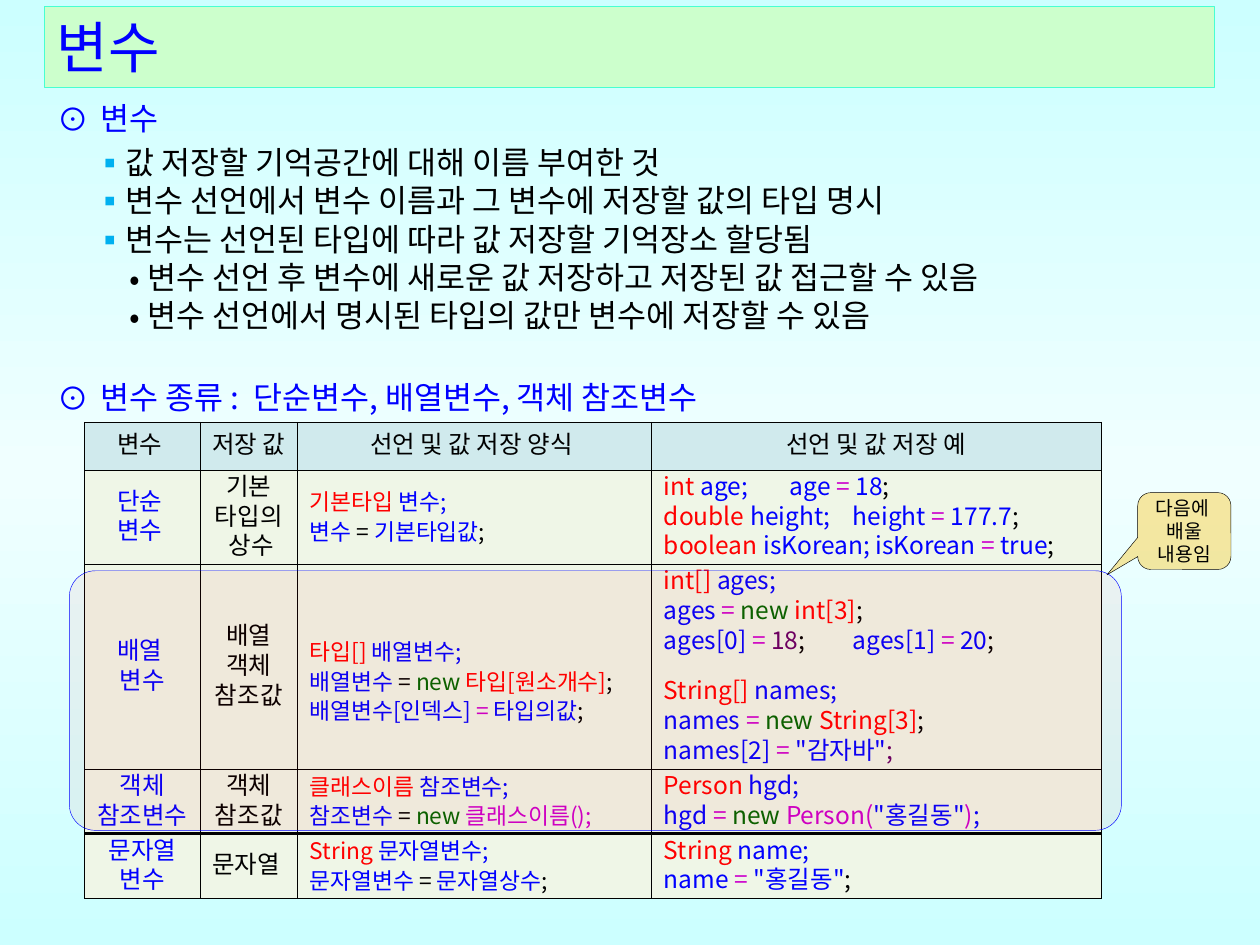
"""Build the slide on variables and their kinds."""
import copy
from dataclasses import dataclass
from functools import partial
from typing import NamedTuple, Optional

import lxml.etree
import pptx
import pptx.dml.color
import pptx.enum.shapes
import pptx.enum.text
import pptx.oxml.ns
import pptx.util

RGB = pptx.dml.color.RGBColor
Pt = pptx.util.Pt
qn = pptx.oxml.ns.qn
SHAPE = pptx.enum.shapes.MSO_SHAPE
ALIGN = pptx.enum.text.PP_ALIGN
MIDDLE = pptx.enum.text.MSO_ANCHOR.MIDDLE

FONT = "Noto Sans CJK KR"
WIDTH, HEIGHT = pptx.util.Inches(10), pptx.util.Inches(7.5)
BLACK = RGB(0x00, 0x00, 0x00)
BLUE = RGB(0x00, 0x00, 0xFF)
RED = RGB(0xFF, 0x00, 0x00)
MAGENTA = RGB(0xCC, 0x00, 0xCC)
GREEN = RGB(0x00, 0x66, 0x00)
PURPLE = RGB(0x66, 0x00, 0x66)
SKY = RGB(0x00, 0xB0, 0xF0)
AMBER = RGB(0xFF, 0xC0, 0x00)
AQUA = RGB(0xCC, 0xFF, 0xFF)
PALE_AQUA = RGB(0xF0, 0xFF, 0xFF)
MINT = RGB(0xCC, 0xFF, 0xCC)
TURQUOISE = RGB(0x47, 0xFF, 0xD1)
HEADER_FILL = RGB(0xD0, 0xEA, 0xED)
BODY_FILL = RGB(0xEF, 0xF6, 0xE7)


class Span(NamedTuple):
    """A stretch of text in one colour."""
    text: str
    color: RGB


class Box(NamedTuple):
    """A place on the grid of 100 columns by 100 rows."""
    column: float
    row: float
    columns: float
    rows: float


@dataclass
class Line:
    """A paragraph, with lengths in grid columns and spacing in points."""
    spans: list[Span]
    before: float = 0
    pitch: float = 17
    indent: float = 0
    hang: float = 0
    bullet: Optional[Span] = None
    tab: float = 0
    align: ALIGN = ALIGN.LEFT


black, blue, red, magenta, green, purple = (
    partial(Span, color=color) for color in (BLACK, BLUE, RED, MAGENTA, GREEN, PURPLE))
end, equals, assign = black(";"), magenta("= "), black("= ")
heading = partial(Line, pitch=25, indent=3.4, hang=3.4, bullet=blue("⊙"))
point = partial(Line, pitch=21.9, indent=5.3, hang=2.4, bullet=Span("▪", SKY))
detail = partial(Line, pitch=21.9, indent=7.15, hang=1.45, bullet=black("•"))
code = partial(Line, indent=0.3)

BODY = [
    heading([blue("변수")]),
    point([black("값 저장할 기억공간에 대해 이름 부여한 것")], pitch=25),
    point([black("변수 선언에서 변수 이름과 그 변수에 저장할 값의 타입 명시")]),
    point([black("변수는 선언된 타입에 따라 값 저장할 기억장소 할당됨")]),
    detail([black("변수 선언 후 변수에 새로운 값 저장하고 저장된 값 접근할 수 있음")]),
    detail([black("변수 선언에서 명시된 타입의 값만 변수에 저장할 수 있음")]),
    heading([blue("변수 종류 :  단순변수, 배열변수, 객체 참조변수")], before=21.9),
]


def centred(paint: partial, *texts: str) -> list[Line]:
    """Make one centred line from each text."""
    return [Line([paint(text)], align=ALIGN.CENTER) for text in texts]


KINDS = [
    [centred(black, text) for text in
     ("변수 ", "저장 값", "선언 및 값 저장 양식 ", "선언 및 값 저장 예")],
    [centred(blue, "단순 ", "변수 "), centred(black, "기본 타입의", " 상수"),
     [code([red("기본타입 "), blue("변수;")]),
      code([blue("변수 "), assign, blue("기본타입값"), end])],
     [code([red("int "), blue("age;\tage "), equals, blue("18"), end], tab=14.7),
      code([red("double "), blue("height;\theight "), equals, blue("177.7"), end], tab=16.5),
      code([red("boolean "), blue("isKorean; isKorean "), equals, blue("true"), end])]],
    [centred(blue, "배열 ", "변수"), centred(black, "배열 객체", "참조값"),
     [code([red("타입[] "), blue("배열변수;")]),
      code([blue("배열변수 "), assign, green("new "), red("타입[원소개수]"), end]),
      code([blue("배열변수[인덱스] "), equals, blue("타입의값"), end])],
     [code([red("int[] "), blue("ages; ")]),
      code([blue("ages "), equals, green("new "), red("int[3]"), end]),
      code([blue("ages[0] "), equals, purple("18"), black(";\t"), blue("ages[1] "),
            equals, blue("20"), end], tab=20.2),
      code([red("String[] "), blue("names;")], before=12),
      code([blue("names "), equals, green("new "), red("String[3]"), end]),
      code([blue("names[2] "), equals, blue('"감자바"'), purple(";")])]],
    [centred(blue, "객체 참조변수"), centred(black, "객체 참조값"),
     [code([red("클래스이름 "), blue("참조변수;")]),
      code([blue("참조변수 "), assign, green("new "), magenta("클래스이름();")])],
     [code([red("Person "), blue("hgd;")]),
      code([blue("hgd "), equals, green("new "), magenta("Person("), blue('"홍길동"'),
            magenta(")"), blue(";")])]],
    [centred(blue, "문자열 변수"), centred(black, "문자열 "),
     [code([red("String "), blue("문자열변수;")]),
      code([blue("문자열변수 "), assign, blue("문자열상수"), end])],
     [code([red("String "), blue("name;")]),
      code([blue("name "), equals, blue('"홍길동"'), end])]],
]
KIND_COLUMNS = (9.2, 7.7, 28.1, 35.7)
KIND_ROWS = (5.07, 10, 21.6, 6.8, 6.8)
KIND_SIZES = (14, 14, 13, 14)
ARRAY_ROW, FORM_COLUMN, THICK_RULE = 2, 2, 5


def across(columns: float) -> int:
    """Turn grid columns into a length."""
    return round(WIDTH * columns / 100)


def down(rows: float) -> int:
    """Turn grid rows into a length."""
    return round(HEIGHT * rows / 100)


def place(box: Box) -> tuple[int, int, int, int]:
    """Turn a grid box into left, top, width and height."""
    return across(box.column), down(box.row), across(box.columns), down(box.rows)


def element(parent, tag: str, **attributes: str):
    """Append a DrawingML element."""
    return lxml.etree.SubElement(parent, qn(tag), attributes)


def write(frame, lines: list[Line], size: float) -> None:
    """Write the lines into a text frame run by run."""
    for index, line in enumerate(lines):
        paragraph = frame.paragraphs[0] if index == 0 else frame.add_paragraph()
        paragraph.alignment = line.align
        paragraph.line_spacing = Pt(line.pitch)
        if line.before:
            paragraph.space_before = Pt(line.before)
        properties = paragraph._p.get_or_add_pPr()
        properties.set("marL", str(across(line.indent)))
        properties.set("indent", str(-across(line.hang)))
        if line.bullet:
            element(element(properties, "a:buClr"), "a:srgbClr", val=str(line.bullet.color))
            element(properties, "a:buFont", typeface=FONT)
            element(properties, "a:buChar", char=line.bullet.text)
        if line.tab:
            element(element(properties, "a:tabLst"), "a:tab", pos=str(across(line.tab)), algn="l")
        for span in line.spans:
            run = paragraph.add_run()
            run.text = span.text
            run.font.size = Pt(size)
            run.font.color.rgb = span.color
            run.font.name = FONT
            element(run._r.get_or_add_rPr(), "a:ea", typeface=FONT)


def draw_shape(slide, kind: SHAPE, box: Box, fill: RGB, outline: RGB,
               adjustments: tuple[float, ...] = (), opacity: int = 100):
    """Draw a preset shape with a hairline outline."""
    shape = slide.shapes.add_shape(kind, *place(box))
    shape.shadow.inherit = False
    shape.fill.solid()
    shape.fill.fore_color.rgb = fill
    if opacity < 100:
        color = shape._element.spPr.find(qn("a:solidFill")).find(qn("a:srgbClr"))
        element(color, "a:alpha", val=str(opacity * 1000))
    shape.line.color.rgb = outline
    shape.line.width = Pt(0.25)
    for index, value in enumerate(adjustments):
        shape.adjustments[index] = value
    shape.text_frame.vertical_anchor = MIDDLE
    shape.text_frame.word_wrap = True
    return shape


def draw_borders(cell, top: float, bottom: float) -> None:
    """Rule the cell, with top and bottom widths in points."""
    properties = cell._tc.get_or_add_tcPr()
    for index, (side, width) in enumerate(
            (("L", 0.28), ("R", 0.28), ("T", top), ("B", bottom))):
        rule = lxml.etree.Element(qn(f"a:ln{side}"), w=str(Pt(width)))
        element(element(rule, "a:solidFill"), "a:srgbClr", val=str(BLACK))
        properties.insert(index, rule)


def draw_kinds(slide) -> None:
    """Draw the table of variable kinds."""
    box = Box(6.7, 44.67, sum(KIND_COLUMNS), sum(KIND_ROWS))
    table = slide.shapes.add_table(len(KINDS), len(KIND_COLUMNS), *place(box)).table
    table.first_row = table.horz_banding = False
    for column, share in zip(table.columns, KIND_COLUMNS):
        column.width = across(share)
    for r, contents in enumerate(KINDS):
        if r < len(KIND_ROWS):
            table.rows[r].height = down(KIND_ROWS[r])
        for c, lines in enumerate(contents):
            cell = table.cell(r, c)
            cell.vertical_anchor = MIDDLE
            cell.margin_left = cell.margin_right = across(0.7)
            cell.margin_top = cell.margin_bottom = down(0.27)
            if (r, c) == (ARRAY_ROW, FORM_COLUMN):
                cell.margin_top = down(3.42)
            cell.fill.solid()
            cell.fill.fore_color.rgb = BODY_FILL if r else HEADER_FILL
            draw_borders(cell, *(1.98 if edge == THICK_RULE - 1 else 0.28 for edge in (r, r + 1)))
            write(cell.text_frame, lines, KIND_SIZES[c] if r else 14)


def paint_background(slide) -> None:
    """Fill the background with a vertical gradient."""
    fill = slide.background.fill
    fill.gradient()
    fill.gradient_angle = 270
    stops = slide._element.find(".//" + qn("a:gsLst"))
    stops.insert(1, copy.deepcopy(stops[0]))
    for stop, position, color in zip(fill.gradient_stops, (0, 0.5, 1), (AQUA, PALE_AQUA, AQUA)):
        stop.position = position
        stop.color.rgb = color


def main() -> None:
    """Build and save the slide."""
    deck = pptx.Presentation()
    deck.slide_width, deck.slide_height = WIDTH, HEIGHT
    slide = deck.slides.add_slide(deck.slide_layouts[6])
    paint_background(slide)
    title = draw_shape(slide, SHAPE.RECTANGLE, Box(3.5, 0.67, 92.9, 8.53), MINT, TURQUOISE)
    write(title.text_frame, [Line([blue("변수")], pitch=38)], 32)
    body = slide.shapes.add_textbox(*place(Box(3.6, 9.2, 95.3, 35.6))).text_frame
    body.word_wrap = True
    write(body, BODY, 18)
    draw_kinds(slide)
    draw_shape(slide, SHAPE.ROUNDED_RECTANGLE, Box(5.5, 60.4, 83.5, 27.47), RED, BLUE, (0.1,), 5)
    callout = draw_shape(slide, SHAPE.ROUNDED_RECTANGULAR_CALLOUT, Box(90.3, 52.13, 7.4, 8.13),
                         AMBER, BLACK, (-0.83, 0.57, 0.17), 37).text_frame
    callout.margin_left = callout.margin_right = callout.margin_top = callout.margin_bottom = 0
    write(callout, [Line([black(text)], pitch=13.2, align=ALIGN.CENTER)
                    for text in ("다음에 ", "배울 내용임")], 11)
    deck.save("out.pptx")


if __name__ == "__main__":
    main()
